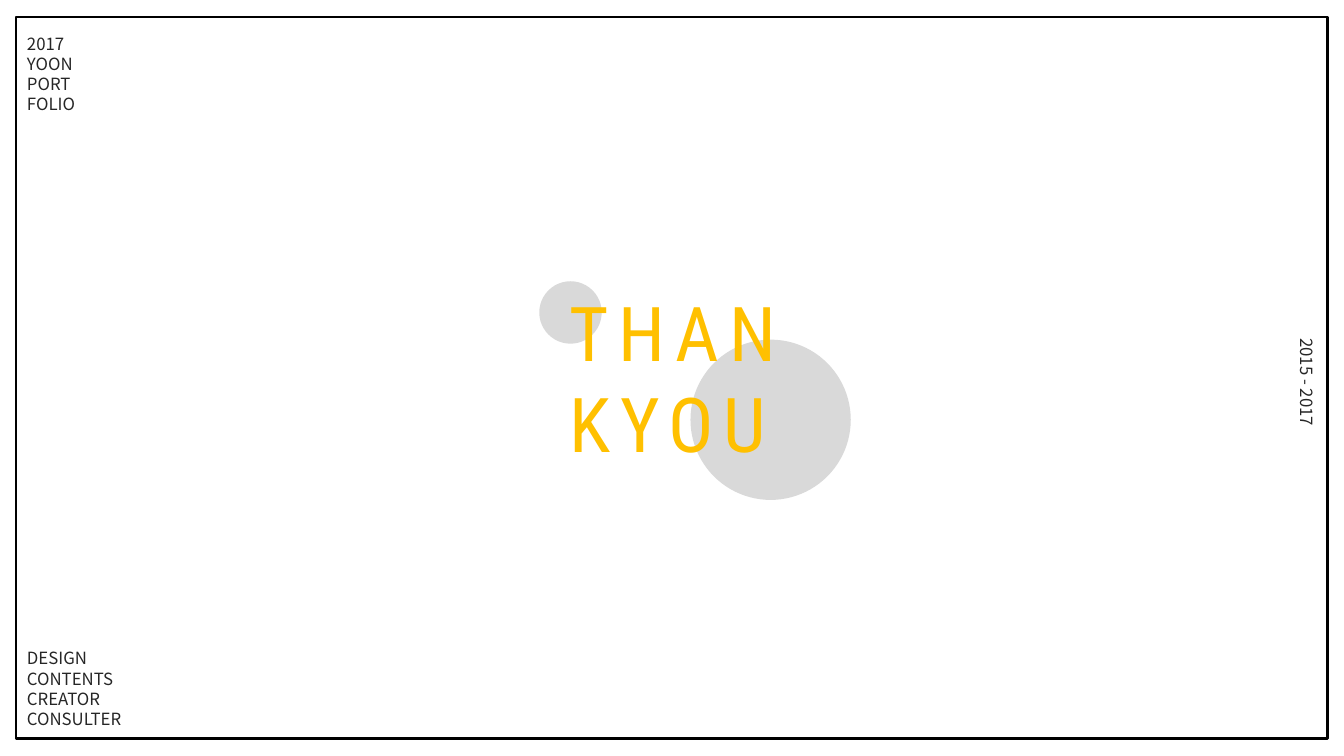
from dataclasses import dataclass

import pptx
import pptx.dml.color
import pptx.enum.shapes
import pptx.enum.text
import pptx.oxml
import pptx.oxml.ns
import pptx.util

Pt = pptx.util.Pt
TITLE_ONLY = 5


@dataclass(frozen=True)
class Theme:
    frame: str = "000000"
    circle: str = "D9D9D9"
    label: str = "262626"
    title: str = "FFC000"
    label_font: str = "Noto Sans CJK KR"
    title_font: str = "Roboto Condensed"
    label_size: float = 12
    title_size: float = 54
    title_tracking: float = 7
    frame_width: float = 1.75
    outline_width: float = 0.75
    outline_opacity: int = 20


THEME = Theme()


def rgb(code):
    return pptx.dml.color.RGBColor.from_string(code)


def apply(target, values):
    for name, value in values.items():
        setattr(target, name, value)


def place(shape, left, top, width, height):
    apply(shape, {"left": Pt(left), "top": Pt(top),
                  "width": Pt(width), "height": Pt(height)})


def write(shape, lines, font, size, color, wrap):
    """Fill a shape with one left-aligned paragraph a line; return the runs."""
    frame = shape.text_frame
    frame.text = "\n".join(lines)
    apply(frame, {"word_wrap": wrap,
                  "auto_size": pptx.enum.text.MSO_AUTO_SIZE.SHAPE_TO_FIT_TEXT,
                  "vertical_anchor": pptx.enum.text.MSO_ANCHOR.TOP})
    runs = []
    for paragraph in frame.paragraphs:
        paragraph.alignment = pptx.enum.text.PP_ALIGN.LEFT
        run = paragraph.runs[0]
        apply(run.font, {"name": font, "size": Pt(size)})
        run.font.color.rgb = rgb(color)
        runs.append(run)
    return runs


def outline(run):
    """Give the letters a faint outline in the label colour."""
    line = pptx.oxml.parse_xml(
        f'<a:ln {pptx.oxml.ns.nsdecls("a")} w="{Pt(THEME.outline_width)}">'
        f'<a:solidFill><a:srgbClr val="{THEME.label}">'
        f'<a:alpha val="{THEME.outline_opacity * 1000}"/>'
        '</a:srgbClr></a:solidFill></a:ln>')
    run._r.get_or_add_rPr().insert(0, line)


def add_label(slide, lines, left, top, width, height, rotation=0):
    label = slide.shapes.add_textbox(Pt(left), Pt(top), Pt(width), Pt(height))
    label.rotation = rotation
    for run in write(label, lines, THEME.label_font, THEME.label_size,
                     THEME.label, wrap=False):
        outline(run)


def add_frame(slide, left, top, width, height):
    frame = slide.shapes.add_shape(pptx.enum.shapes.MSO_SHAPE.RECTANGLE,
                                   Pt(left), Pt(top), Pt(width), Pt(height))
    frame.shadow.inherit = False
    frame.fill.background()
    frame.line.color.rgb = rgb(THEME.frame)
    frame.line.width = Pt(THEME.frame_width)


def add_circle(slide, left, top, diameter):
    circle = slide.shapes.add_shape(pptx.enum.shapes.MSO_SHAPE.OVAL, Pt(left),
                                    Pt(top), Pt(diameter), Pt(diameter))
    circle.shadow.inherit = False
    circle.fill.solid()
    circle.fill.fore_color.rgb = rgb(THEME.circle)
    circle.line.fill.background()


def set_title(slide, lines, left, top, width, height):
    """Format the title placeholder and bring it in front of the circles."""
    title = slide.shapes.title
    place(title, left, top, width, height)
    for run in write(title, lines, THEME.title_font, THEME.title_size,
                     THEME.title, wrap=True):
        run._r.get_or_add_rPr().set("spc", str(int(THEME.title_tracking * 100)))
    title.element.getparent().append(title.element)


def main():
    deck = pptx.Presentation()
    apply(deck, {"slide_width": Pt(960), "slide_height": Pt(540)})
    slide = deck.slides.add_slide(deck.slide_layouts[TITLE_ONLY])

    add_frame(slide, 11.5, 12.2, 936.7, 515.5)
    add_label(slide, ["2015 - 2017"], 892.1, 265, 82.8, 21.6, rotation=90)
    add_label(slide, ["2017", "YOON", "PORT", "FOLIO"], 12.2, 20.2, 49.7, 65.5)
    add_circle(slide, 493.2, 242.6, 114.5)
    add_circle(slide, 385.2, 200.9, 44.6)
    set_title(slide, ["THAN", "KYOU"], 399.6, 200.9, 248.4, 138.2)
    add_label(slide, ["DESIGN", "CONTENTS", "CREATOR", "CONSULTER"],
              12.2, 459.4, 83.5, 65.5)

    deck.save("out.pptx")


if __name__ == "__main__":
    main()
